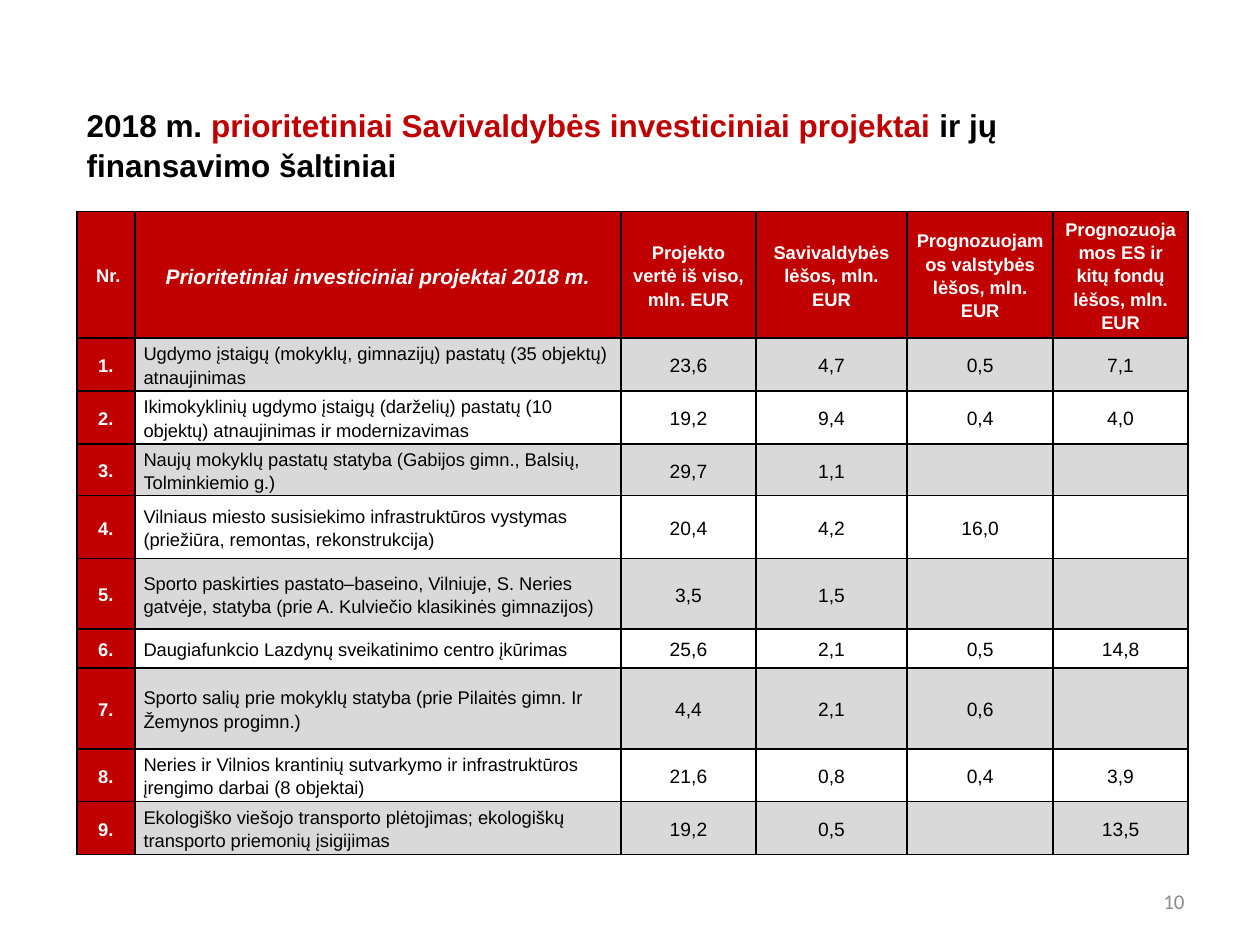
from dataclasses import dataclass

from lxml import etree
from pptx import Presentation
from pptx.dml.color import RGBColor
from pptx.enum.text import MSO_ANCHOR, PP_ALIGN
from pptx.oxml.ns import qn
from pptx.util import Inches, Pt

LEFT, CENTER, RIGHT = PP_ALIGN.LEFT, PP_ALIGN.CENTER, PP_ALIGN.RIGHT
MIDDLE = MSO_ANCHOR.MIDDLE
COLORS = {
    "red": "C00000",
    "black": "000000",
    "white": "FFFFFF",
    "band": "D9D9D9",
    "muted": "8C8C8C",
}
SLIDE_WIDTH, SLIDE_HEIGHT = Inches(10), Inches(7.5)
GRID_COLUMNS, GRID_ROWS = 1000, 750
COLUMN_SPANS = (46, 386, 107, 120, 116, 107)
HEADER_SPAN = 100
BORDER_SIDES = ("a:lnL", "a:lnR", "a:lnT", "a:lnB")


@dataclass(frozen=True)
class Area:
    column: float
    row: float
    columns: float
    rows: float


@dataclass(frozen=True)
class Style:
    size: float
    color: str
    bold: bool = False
    italic: bool = False
    font: str = "Arial"


@dataclass(frozen=True)
class Project:
    name: str
    funding: tuple[str, str, str, str]
    span: int


HEADING = Style(18, "black", bold=True)
HEADING_ACCENT = Style(18, "red", bold=True)
LABEL = Style(10.5, "white", bold=True)
PROJECTS_LABEL = Style(12, "white", bold=True, italic=True)
PROJECT_NAME = Style(10.5, "black")
AMOUNT = Style(11, "black")
PAGE_NUMBER = Style(12, "muted", font="Calibri")

HEADERS = (
    ("\u00a0Nr.", LABEL),
    ("Prioritetiniai investiciniai projektai 2018 m.", PROJECTS_LABEL),
    ("Projekto vertė iš viso, mln. EUR", LABEL),
    ("Savivaldybės lėšos, mln. EUR", LABEL),
    ("Prognozuojamos valstybės lėšos, mln. EUR", LABEL),
    ("Prognozuojamos ES ir kitų fondų lėšos, mln. EUR", LABEL),
)
PROJECTS = (
    Project("Ugdymo įstaigų (mokyklų, gimnazijų) pastatų (35 objektų) atnaujinimas",
            ("23,6", "4,7", "0,5", "7,1"), 42),
    Project("Ikimokyklinių ugdymo įstaigų (darželių) pastatų (10 objektų) atnaujinimas ir modernizavimas",
            ("19,2", "9,4", "0,4", "4,0"), 42),
    Project("Naujų mokyklų pastatų statyba (Gabijos gimn., Balsių, Tolminkiemio g.)",
            ("29,7", "1,1", "", ""), 41),
    Project("Vilniaus miesto susisiekimo infrastruktūros vystymas (priežiūra, remontas, rekonstrukcija)",
            ("20,4", "4,2", "16,0", ""), 50),
    Project("Sporto paskirties pastato–baseino, Vilniuje, S. Neries gatvėje, statyba "
            "(prie A. Kulviečio klasikinės gimnazijos)",
            ("3,5", "1,5", "", ""), 56),
    Project("Daugiafunkcio Lazdynų sveikatinimo centro įkūrimas",
            ("25,6", "2,1", "0,5", "14,8"), 31),
    Project("Sporto salių prie mokyklų statyba (prie Pilaitės gimn. Ir Žemynos progimn.)",
            ("4,4", "2,1", "0,6", ""), 64),
    Project("Neries ir Vilnios krantinių sutvarkymo ir infrastruktūros įrengimo darbai (8 objektai)",
            ("21,6", "0,8", "0,4", "3,9"), 42),
    Project("Ekologiško viešojo transporto plėtojimas; ekologiškų transporto priemonių įsigijimas",
            ("19,2", "0,5", "", "13,5"), 42),
)


def across(columns: float) -> int:
    return round(SLIDE_WIDTH * columns / GRID_COLUMNS)


def down(rows: float) -> int:
    return round(SLIDE_HEIGHT * rows / GRID_ROWS)


def place(area: Area) -> tuple[int, int, int, int]:
    return across(area.column), down(area.row), across(area.columns), down(area.rows)


def rgb(color: str) -> RGBColor:
    return RGBColor.from_string(COLORS[color])


def add_run(paragraph, text: str, style: Style) -> None:
    run = paragraph.add_run()
    run.text = text
    run.font.name = style.font
    run.font.size = Pt(style.size)
    run.font.bold = style.bold
    run.font.italic = style.italic
    run.font.color.rgb = rgb(style.color)


def add_text(slide, area: Area, runs, align, spacing: float = 1.0) -> None:
    frame = slide.shapes.add_textbox(*place(area)).text_frame
    frame.word_wrap = True
    frame.vertical_anchor = MIDDLE
    paragraph = frame.paragraphs[0]
    paragraph.alignment = align
    paragraph.line_spacing = spacing
    for text, style in runs:
        add_run(paragraph, text, style)


def add_borders(cell) -> None:
    properties = cell._tc.get_or_add_tcPr()
    for position, side in enumerate(BORDER_SIDES):
        line = etree.Element(qn(side), w=str(Pt(1)))
        fill = etree.SubElement(line, qn("a:solidFill"))
        etree.SubElement(fill, qn("a:srgbClr"), val=COLORS["black"])
        properties.insert(position, line)


def fill_cell(cell, text: str, style: Style, fill: str, align=CENTER) -> None:
    cell.fill.solid()
    cell.fill.fore_color.rgb = rgb(fill)
    cell.vertical_anchor = MIDDLE
    cell.margin_left = cell.margin_right = across(7)
    cell.margin_top = cell.margin_bottom = 0
    add_borders(cell)
    paragraph = cell.text_frame.paragraphs[0]
    paragraph.alignment = align
    paragraph.line_spacing = 1.15
    if text:
        add_run(paragraph, text, style)


def add_projects_table(slide) -> None:
    row_spans = (HEADER_SPAN, *(project.span for project in PROJECTS))
    area = Area(61, 168, sum(COLUMN_SPANS), sum(row_spans))
    table = slide.shapes.add_table(len(row_spans), len(COLUMN_SPANS), *place(area)).table
    for column, span in zip(table.columns, COLUMN_SPANS):
        column.width = across(span)
    for row, span in zip(table.rows, row_spans):
        row.height = down(span)
    for column, (label, style) in enumerate(HEADERS):
        fill_cell(table.cell(0, column), label, style, "red")
    for number, project in enumerate(PROJECTS, start=1):
        band = "band" if number % 2 else "white"
        fill_cell(table.cell(number, 0), f"{number}.", LABEL, "red")
        fill_cell(table.cell(number, 1), project.name, PROJECT_NAME, band, LEFT)
        for column, amount in enumerate(project.funding, start=2):
            fill_cell(table.cell(number, column), amount, AMOUNT, band)


def main() -> None:
    presentation = Presentation()
    presentation.slide_width, presentation.slide_height = SLIDE_WIDTH, SLIDE_HEIGHT
    slide = presentation.slides.add_slide(presentation.slide_layouts[6])
    heading = (
        ("2018 m. ", HEADING),
        ("prioritetiniai Savivaldybės investiciniai projektai ", HEADING_ACCENT),
        ("ir jų finansavimo šaltiniai", HEADING),
    )
    add_text(slide, Area(59, 80, 783, 68), heading, LEFT, 1.05)
    add_projects_table(slide)
    add_text(slide, Area(717, 695, 233, 40), (("10", PAGE_NUMBER),), RIGHT)
    presentation.save("out.pptx")


if __name__ == "__main__":
    main()
